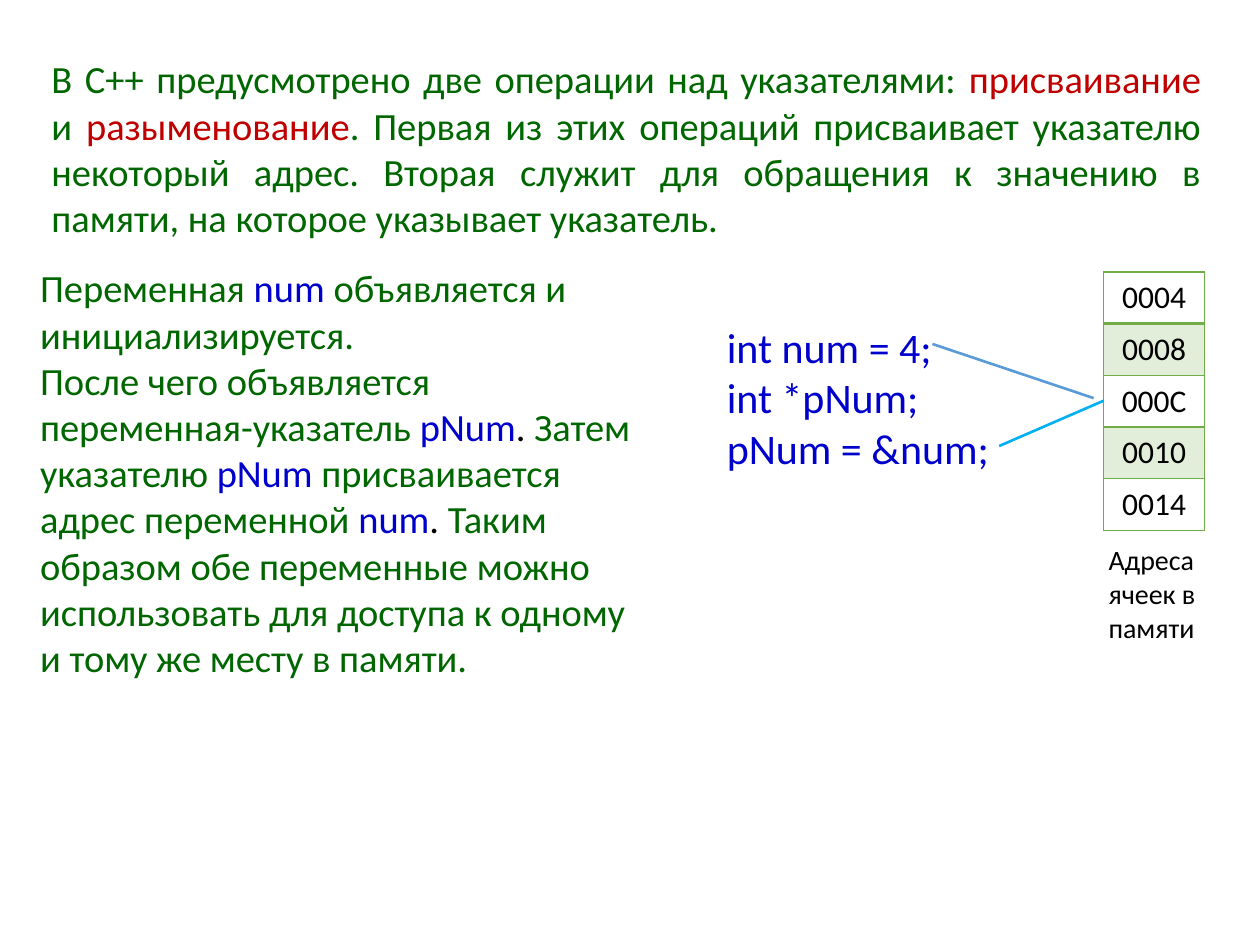
from dataclasses import dataclass

from lxml import etree
from pptx import Presentation
from pptx.dml.color import RGBColor
from pptx.enum.shapes import MSO_CONNECTOR
from pptx.enum.text import MSO_ANCHOR, MSO_AUTO_SIZE, PP_ALIGN
from pptx.oxml.ns import qn
from pptx.util import Inches, Pt

STRAIGHT = MSO_CONNECTOR.STRAIGHT
MIDDLE = MSO_ANCHOR.MIDDLE
FIT_SHAPE = MSO_AUTO_SIZE.SHAPE_TO_FIT_TEXT
LEFT, CENTER, JUSTIFY = PP_ALIGN.LEFT, PP_ALIGN.CENTER, PP_ALIGN.JUSTIFY

FONT = "Calibri"
GREEN = RGBColor(0x00, 0x66, 0x00)
RED = RGBColor(0xC0, 0x00, 0x00)
BLUE = RGBColor(0x00, 0x00, 0xCC)
BLACK = RGBColor(0x00, 0x00, 0x00)
CELL_GREEN = RGBColor(0x70, 0xAD, 0x47)
STEEL_BLUE = RGBColor(0x5B, 0x9B, 0xD5)
SKY_BLUE = RGBColor(0x00, 0xB0, 0xF0)

Run = tuple[str, RGBColor]


@dataclass
class TextBlock:
    box: tuple[float, float, float, float]
    size: int
    paragraphs: list[list[Run]]
    align: PP_ALIGN = LEFT
    wrap: bool = True


@dataclass
class Pointer:
    start: tuple[float, float]
    end: tuple[float, float]
    color: RGBColor


INTRO = TextBlock((0.31, 0.39, 9.32, 1.58), 22, [[
    ("В C++ предусмотрено две операции над указателями: ", GREEN),
    ("присваивание", RED),
    (" и ", GREEN),
    ("разыменование", RED),
    (". Первая из этих операций присваивает указателю некоторый адрес. "
     "Вторая служит для обращения к значению в памяти, "
     "на которое указывает указатель.", GREEN),
]], align=JUSTIFY)

EXPLANATION = TextBlock((0.22, 2.05, 4.91, 3.43), 22, [
    [
        ("Переменная ", GREEN),
        ("num ", BLUE),
        ("объявляется и инициализируется.", GREEN),
    ],
    [
        ("После чего объявляется переменная-указатель ", GREEN),
        ("pNum", BLUE),
        (". ", BLACK),
        ("Затем указателю ", GREEN),
        ("pNum ", BLUE),
        ("присваивается адрес переменной ", GREEN),
        ("num", BLUE),
        (". ", BLACK),
        ("Таким образом обе переменные можно использовать для доступа "
         "к одному и тому же месту в памяти.", GREEN),
    ],
])

CODE_LINES = ["int num = 4;", "int *pNum;", "pNum = &num;"]
CODE = TextBlock((5.67, 2.5, 2.3, 1.31), 24,
                 [[(line, BLUE)] for line in CODE_LINES], wrap=False)

CAPTION = TextBlock((8.7, 4.26, 0.92, 0.91), 16,
                    [[("Адреса ячеек в памяти", BLACK)]])

ADDRESSES = ["0004", "0008", "000C", "0010", "0014"]
MEMORY_LEFT, MEMORY_TOP = 8.76, 2.16
CELL_WIDTH, CELL_HEIGHT = 0.8, 0.41

POINTERS = [
    Pointer((7.4, 2.73), (8.68, 3.16), STEEL_BLUE),
    Pointer((7.93, 3.54), (MEMORY_LEFT, 3.18), SKY_BLUE),
]


def add_text(slide, block: TextBlock) -> None:
    frame = slide.shapes.add_textbox(*map(Inches, block.box)).text_frame
    frame.word_wrap = block.wrap
    frame.auto_size = FIT_SHAPE
    for index, runs in enumerate(block.paragraphs):
        paragraph = frame.add_paragraph() if index else frame.paragraphs[0]
        paragraph.alignment = block.align
        paragraph.font.name = FONT
        paragraph.font.size = Pt(block.size)
        for text, color in runs:
            run = paragraph.add_run()
            run.text = text
            run.font.color.rgb = color


def add_border(cell, side: str, width: float) -> None:
    line = etree.SubElement(cell._tc.get_or_add_tcPr(), qn(f"a:ln{side}"),
                            w=str(Pt(width)))
    fill = etree.SubElement(line, qn("a:solidFill"))
    etree.SubElement(fill, qn("a:srgbClr"), val=str(CELL_GREEN))


def add_memory(slide) -> None:
    count = len(ADDRESSES)
    table = slide.shapes.add_table(
        count, 1, Inches(MEMORY_LEFT), Inches(MEMORY_TOP),
        Inches(CELL_WIDTH), Inches(CELL_HEIGHT * count)).table
    table.first_row = False
    table.horz_banding = False
    for row, address in enumerate(ADDRESSES):
        table.rows[row].height = Inches(CELL_HEIGHT)
        cell = table.cell(row, 0)
        cell.text = address
        cell.vertical_anchor = MIDDLE
        paragraph = cell.text_frame.paragraphs[0]
        paragraph.alignment = CENTER
        paragraph.font.name = FONT
        paragraph.font.size = Pt(18)
        paragraph.font.color.rgb = BLACK
        # The line under the first address is twice as thick
        widths = {"L": 1, "R": 1, "T": 2 if row == 1 else 1,
                  "B": 2 if row == 0 else 1}
        for side, width in widths.items():
            add_border(cell, side, width)
        # Every second cell is tinted
        if row % 2:
            cell.fill.solid()
            cell.fill.fore_color.rgb = CELL_GREEN
            tint = cell._tc.tcPr.find(f"{qn('a:solidFill')}/{qn('a:srgbClr')}")
            etree.SubElement(tint, qn("a:alpha"), val="20000")
        else:
            cell.fill.background()


def add_pointer(slide, pointer: Pointer) -> None:
    line = slide.shapes.add_connector(
        STRAIGHT, *map(Inches, pointer.start + pointer.end))
    line.line.color.rgb = pointer.color
    line.line.width = Pt(1.5)
    etree.SubElement(line._element.spPr, qn("a:effectLst"))


def main() -> None:
    presentation = Presentation()
    presentation.slide_width = Inches(10)
    presentation.slide_height = Inches(7.5)
    slide = presentation.slides.add_slide(presentation.slide_layouts[6])

    # Code and the memory cells it refers to
    add_text(slide, CODE)
    add_memory(slide)
    add_text(slide, CAPTION)
    for pointer in POINTERS:
        add_pointer(slide, pointer)

    # Explanations
    add_text(slide, EXPLANATION)
    add_text(slide, INTRO)

    presentation.save("out.pptx")


if __name__ == "__main__":
    main()
